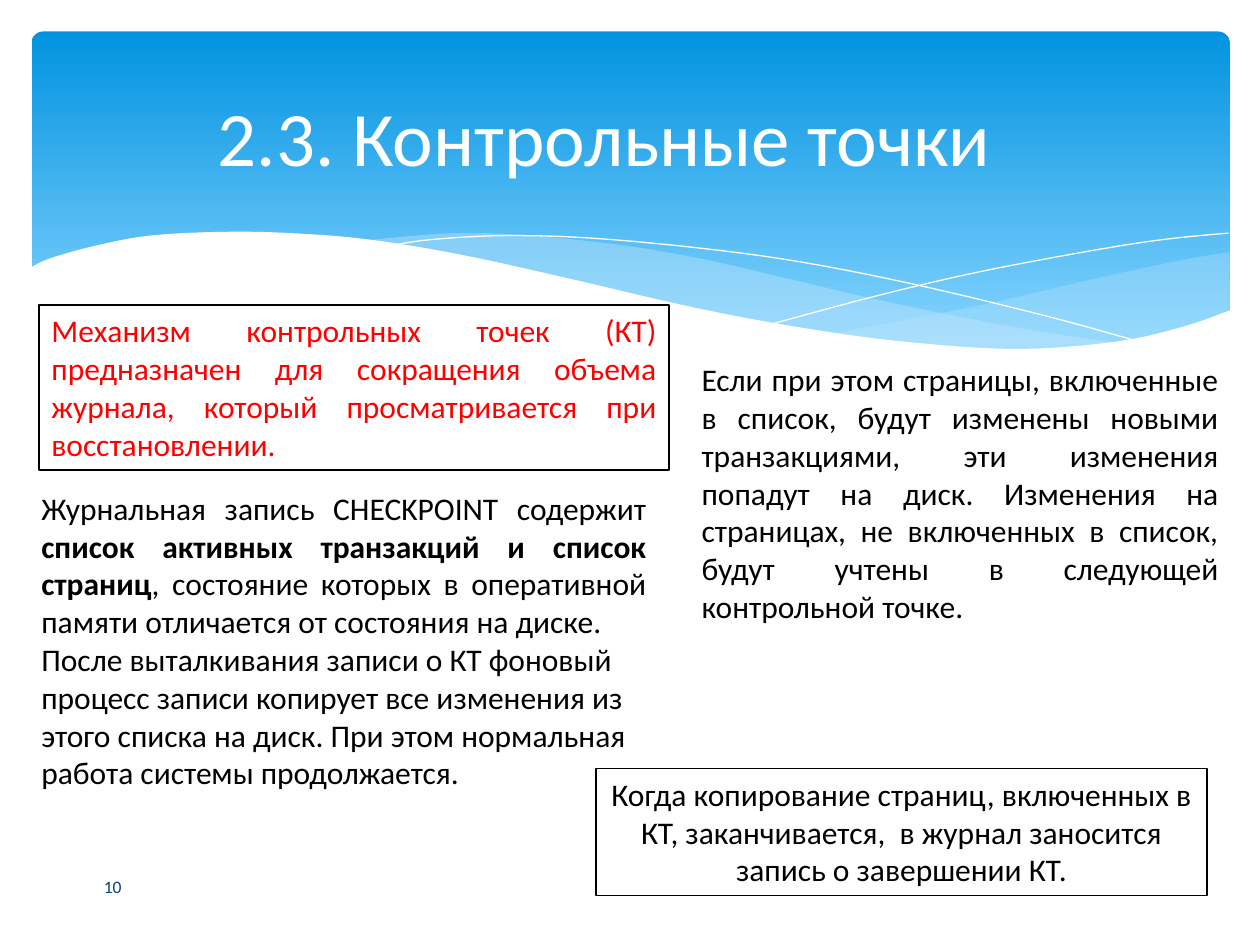
from lxml.etree import SubElement
from pptx import Presentation
from pptx.dml.color import RGBColor
from pptx.enum.shapes import MSO_SHAPE
from pptx.enum.text import MSO_ANCHOR, PP_ALIGN
from pptx.oxml.ns import qn
from pptx.util import Inches, Pt

FONT = "Calibri"
BLACK, WHITE, RED, NAVY = "000000", "FFFFFF", "FF0000", "073E87"
SKY_TOP, SKY_BOTTOM, MIST = "0293E0", "83D3FE", "C6E7FC"

RIGHT_WAVE_TOP = [(9.76, 2), (9.35, 2.07), (8.61, 2.23), (7.79, 2.42), (6.61, 2.65)]
RIGHT_WAVE_BOTTOM = [(6.61, 2.65), (7.19, 2.72), (8.03, 2.78), (8.81, 2.73), (9.35, 2.62), (9.76, 2.47)]
MIDDLE_WAVE_TOP = [(8.93, 2.73), (8.07, 2.6), (7.06, 2.4), (6.29, 2.22), (5.55, 2.05), (4.89, 1.94),
                   (4.2, 1.87), (3.61, 1.85), (2.86, 1.91)]
MIDDLE_WAVE_BOTTOM = [(2.86, 1.91), (3.62, 2.03), (4.49, 2.22), (5.3, 2.4), (6.18, 2.58), (6.95, 2.7),
                      (7.61, 2.77), (8.28, 2.78), (8.93, 2.73)]
FALLING_LINE = [(3.09, 1.95), (3.44, 1.9), (4.01, 1.87), (4.69, 1.89), (5.56, 1.97), (6.36, 2.08),
                (7.27, 2.26), (8.31, 2.51), (9.07, 2.72)]
RISING_LINE = [(6.13, 2.57), (6.95, 2.35), (7.76, 2.16), (8.66, 1.99), (9.24, 1.9), (9.75, 1.85)]
PAPER_EDGE = [(9.77, 2.46), (9.4, 2.59), (8.87, 2.71), (8.09, 2.77), (7.26, 2.72), (6.48, 2.62),
              (5.55, 2.45), (4.47, 2.2), (3.65, 2.02), (2.92, 1.9), (2.3, 1.85), (1.77, 1.84),
              (1.19, 1.87), (0.76, 1.95), (0.4, 2.05), (0.23, 2.13)]


def color(value):
    return RGBColor.from_string(value)


def smooth(points, steps=5):
    padded = [points[0], *points, points[-1]]
    curve = [points[0]]
    for a, b, c, d in zip(padded, padded[1:], padded[2:], padded[3:]):
        for step in range(1, steps + 1):
            t = step / steps
            curve.append(tuple(
                (2 * q + (r - p) * t + (2 * p - 5 * q + 4 * r - s) * t ** 2
                 + (3 * q - p - 3 * r + s) * t ** 3) / 2
                for p, q, r, s in zip(a, b, c, d)))
    return curve


def add_outline(slide, points, fill=None, opacity=100, line=None):
    corners = [(Inches(x), Inches(y)) for x, y in points]
    builder = slide.shapes.build_freeform(*corners[0])
    builder.add_line_segments(corners[1:], close=fill is not None)
    shape = builder.convert_to_shape()
    shape.shadow.inherit = False
    if fill:
        shape.fill.solid()
        shape.fill.fore_color.rgb = color(fill)
        if opacity < 100:
            tint = shape.fill._xPr.find(".//" + qn("a:srgbClr"))
            SubElement(tint, qn("a:alpha"), val=str(opacity * 1000))
    else:
        shape.fill.background()
    if line:
        shape.line.color.rgb = color(line)
        shape.line.width = Pt(0)
    else:
        shape.line.fill.background()


def write_text(shape, paragraphs, size=18, ink=BLACK, alignments=(PP_ALIGN.JUSTIFY,),
               anchor=MSO_ANCHOR.TOP, margins=(0.1, 0.05), line_spacing=None):
    frame = shape.text_frame
    frame.word_wrap = True
    frame.vertical_anchor = anchor
    frame.margin_left = frame.margin_right = Inches(margins[0])
    frame.margin_top = frame.margin_bottom = Inches(margins[1])
    for index, (runs, alignment) in enumerate(zip(paragraphs, alignments)):
        paragraph = frame.add_paragraph() if index else frame.paragraphs[0]
        paragraph.alignment = alignment
        if line_spacing:
            paragraph.line_spacing = Pt(line_spacing)
        for text, bold in runs:
            run = paragraph.add_run()
            run.text = text
            run.font.name = FONT
            run.font.size = Pt(size)
            run.font.bold = bold
            run.font.color.rgb = color(ink)


def add_text(slide, box, paragraphs, framed=False, **text_format):
    place = [Inches(length) for length in box]
    if framed:
        shape = slide.shapes.add_shape(MSO_SHAPE.RECTANGLE, *place)
        shape.shadow.inherit = False
        shape.fill.background()
        shape.line.color.rgb = color(BLACK)
        shape.line.width = Pt(0.75)
    else:
        shape = slide.shapes.add_textbox(*place)
    write_text(shape, paragraphs, **text_format)


def add_banner(slide, box):
    banner = slide.shapes.add_shape(MSO_SHAPE.ROUNDED_RECTANGLE, *[Inches(length) for length in box])
    banner.adjustments[0] = 0.034
    banner.shadow.inherit = False
    banner.line.fill.background()
    banner.fill.gradient()
    banner.fill.gradient_angle = 270
    for stop, (position, shade) in zip(banner.fill.gradient_stops, [(0, SKY_TOP), (0.9, SKY_BOTTOM)]):
        stop.position = position
        stop.color.rgb = color(shade)
    add_outline(slide, smooth(RIGHT_WAVE_TOP) + smooth(RIGHT_WAVE_BOTTOM), fill=MIST, opacity=29)
    add_outline(slide, smooth(MIDDLE_WAVE_TOP) + smooth(MIDDLE_WAVE_BOTTOM), fill=MIST, opacity=40)
    for line in (FALLING_LINE, RISING_LINE):
        add_outline(slide, smooth(line), line=WHITE)
    add_outline(slide, smooth(PAPER_EDGE) + [(0.23, 3.29), (9.77, 3.29)], fill=WHITE)


def add_title(slide, box, text):
    title = slide.shapes.title
    title.left, title.top, title.width, title.height = [Inches(length) for length in box]
    write_text(title, [[(text, False)]], size=44, ink=WHITE, alignments=[PP_ALIGN.CENTER],
               anchor=MSO_ANCHOR.MIDDLE, margins=(0, 0))
    slide.shapes._spTree.append(title._element)


def add_body(slide):
    add_text(slide, (0.31, 2.42, 5, 1.31), [[
        ("Механизм контрольных точек (КТ) предназначен для сокращения объема журнала, "
         "который просматривается при восстановлении.", False)]], framed=True, ink=RED)
    add_text(slide, (0.23, 3.83, 5, 2.52), [
        [("Журнальная запись CHECKPOINT содержит ", False),
         ("список активных транзакций и список страниц", True),
         (", состояние которых в оперативной памяти отличается от состояния на диске.", False)],
        [("После выталкивания записи о КТ фоновый процесс записи копирует все изменения из "
          "этого списка на диск. При этом нормальная работа системы продолжается.", False)],
    ], alignments=(PP_ALIGN.JUSTIFY, PP_ALIGN.LEFT))
    add_text(slide, (5.47, 2.81, 4.3, 2.22), [[
        ("Если при этом страницы, включенные в список, будут изменены новыми транзакциями, "
         "эти изменения попадут на диск. Изменения на страницах, не включенных в список, "
         "будут учтены в следующей контрольной точке.", False)]])
    add_text(slide, (4.73, 6.1, 4.85, 1.01), [[
        ("Когда копирование страниц, включенных в КТ, заканчивается,  в журнал заносится "
         "запись о завершении КТ.", False)]], framed=True, alignments=[PP_ALIGN.CENTER])


presentation = Presentation()
presentation.slide_width, presentation.slide_height = Inches(10), Inches(7.5)
slide = presentation.slides.add_slide(presentation.slide_layouts[5])
add_banner(slide, (0.25, 0.25, 9.51, 2.7))
add_text(slide, (0.26, 6.83, 1.27, 0.4), [[("10", False)]], size=10, ink=NAVY,
         alignments=[PP_ALIGN.CENTER], anchor=MSO_ANCHOR.MIDDLE, margins=(0, 0), line_spacing=12.4)
add_title(slide, (0.92, 0.7, 7.76, 0.76), "2.3. Контрольные точки")
add_body(slide)
presentation.save("out.pptx")
